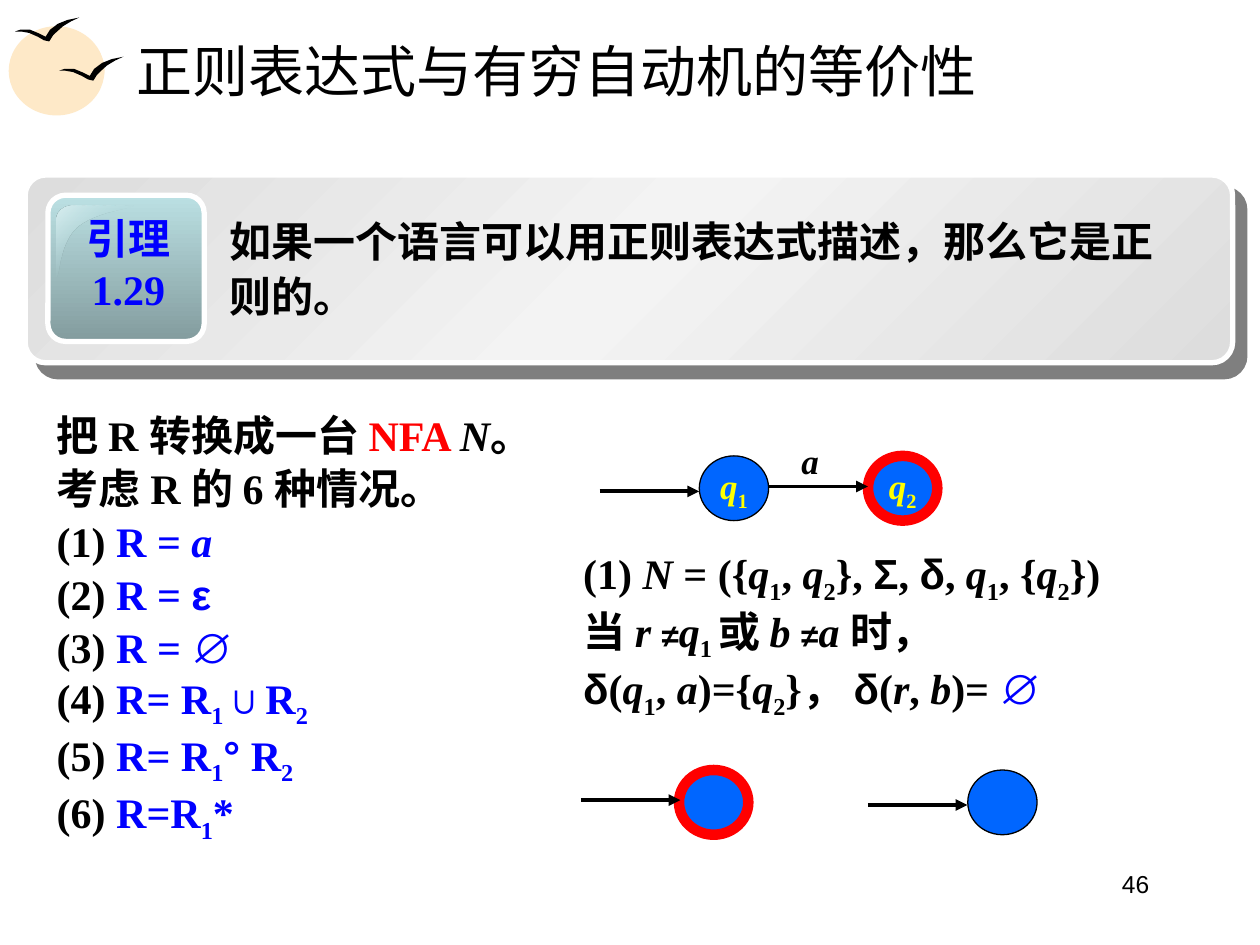
"""Slide on the equivalence of regular expressions and finite automata."""
from lxml import etree
from pptx import Presentation
from pptx.dml.color import RGBColor
from pptx.enum.shapes import MSO_CONNECTOR, MSO_SHAPE
from pptx.enum.text import MSO_ANCHOR, MSO_AUTO_SIZE, PP_ALIGN
from pptx.oxml.ns import qn
from pptx.util import Pt

LEFT, CENTER, RIGHT = PP_ALIGN.LEFT, PP_ALIGN.CENTER, PP_ALIGN.RIGHT
TOP, MIDDLE = MSO_ANCHOR.TOP, MSO_ANCHOR.MIDDLE
OVAL, ROUND = MSO_SHAPE.OVAL, MSO_SHAPE.ROUNDED_RECTANGLE
STRAIGHT = MSO_CONNECTOR.STRAIGHT

THEME = {
    "serif": "Times New Roman", "sans": "Arial",
    "title": 32, "text": 24, "label": 20, "operator": 18, "number": 14,
    "black": "000000", "white": "FFFFFF", "blue": "0000FF", "red": "FF0000",
    "yellow": "FFFF00", "state": "0066FF", "sun": "FEE9C8",
    "card": [(0, "DDDDDD", 100), (50, "F3F3F3", 100), (100, "DDDDDD", 100)],
    "badge": [(0, "BBE0E3", 100), (100, "839C9E", 100)],
    "gloss": [(0, "DAEEF0", 100), (50, "BBE0E3", 0), (100, "DAEEF0", 100)],
}

TITLE = "正则表达式与有穷自动机的等价性"
LEMMA_LABEL = [["引理"], ["1.29"]]
LEMMA = "如果一个语言可以用正则表达式描述，那么它是正则的。"
PAGE = "46"

Q1 = [("q", "italic"), ("1", "sub")]
Q2 = [("q", "italic"), ("2", "sub")]
NOT_EQUAL = ("≠", "sans operator")
CASES = [
    ["把 R 转换成一台 ", ("NFA ", "red"), ("N", "italic"), "。"],
    ["考虑 R 的 6 种情况。"],
    ["(1) ", ("R = ", "blue"), ("a", "blue italic")],
    ["(2) ", ("R = ", "blue"), ("ε", "blue sans")],
    ["(3) ", ("R = ", "blue"), ("∅", "blue sans")],
    ["(4) ", ("R= R", "blue"), ("1", "blue sub"), ("∪R", "blue"), ("2", "blue sub")],
    ["(5) ", ("R= R", "blue"), ("1", "blue sub"), ("°", "blue sans"),
     (" R", "blue"), ("2", "blue sub")],
    ["(6) ", ("R=R", "blue"), ("1", "blue sub"), ("*", "blue")],
]
CASE_GAPS = [0] + [1.5] * 4 + [0] * 3
PROOF = [
    ["(1) ", ("N", "italic"), " = ({", *Q1, ", ", *Q2, "}, ", ("Σ", "sans"), ", ",
     ("δ", "sans"), ", ", *Q1, ", {", *Q2, "})"],
    ["当 ", ("r ", "italic"), NOT_EQUAL, ("q", "italic"), ("1 ", "sub"), "或 ",
     ("b ", "italic"), NOT_EQUAL, ("a ", "italic"), "时，"],
    [("δ", "sans"), "(", *Q1, ", ", ("a", "italic"), ")={", *Q2, "}， ", ("δ", "sans"),
     "(", ("r", "italic"), ", ", ("b", "italic"), ")= ", ("∅", "sans blue")],
]

STATES = [
    (496, 260.5, True, Q2),
    (399.6, 260.5, False, Q1),
    (388, 440, True, None),
    (553, 440, False, None),
]
STATE_SIZE = (39.6, 37)
ARROWS = [(439.2, 278), (342.7, 280.8), (332, 457.2), (496, 460)]
ARROW_LENGTH = 56.8

SUN = [(5, 15, 54.7, 51), (14.4, 20, 45.4, 39.6)]
BIRDS = [(8.6, 10), (33.8, 32.4)]
WING = [(0, 8), (3, 7), (8.6, 7), (13.5, 9), (17.5, 11), (20, 7), (24.5, 3.6),
        (30, 1.4), (36.7, 0), (32, 2.2), (27.4, 5), (23.5, 8.5), (21.6, 10.4),
        (20, 13), (19.5, 13.7), (16.5, 13), (13, 11), (8, 8.8), (3.5, 8)]
GLOSS_CURVES = [
    [(41.8, 117.4), (36.7, 117.4), (32.4, 121), (32.4, 125.3)],
    [(32.4, 158.4), (34.6, 159.1), (33.8, 139), (44.6, 129.6)],
    [(44.6, 129.6), (56.2, 120.2), (77, 119.5), (76.3, 117.4)],
]


def color(name):
    return RGBColor.from_string(THEME[name])


def place(shape, left, top, width, height):
    shape.left, shape.top, shape.width, shape.height = map(Pt, (left, top, width, height))
    return shape


def write(shape, paragraphs, *, size="text", ink="black", font="serif", bold=True,
          align=LEFT, anchor=TOP, wrap=True, grow=False, hanging=0, gaps=None, spacing=1):
    frame = shape.text_frame
    frame.word_wrap, frame.vertical_anchor = wrap, anchor
    frame.auto_size = MSO_AUTO_SIZE.SHAPE_TO_FIT_TEXT if grow else MSO_AUTO_SIZE.NONE
    for index, runs in enumerate(paragraphs):
        paragraph = frame.paragraphs[0] if index == 0 else frame.add_paragraph()
        if hanging:
            properties = paragraph._p.get_or_add_pPr()
            properties.set("marL", str(Pt(hanging)))
            properties.set("indent", str(-Pt(hanging)))
            etree.SubElement(properties, qn("a:buNone"))
        paragraph.alignment, paragraph.line_spacing = align, spacing
        paragraph.space_before = Pt(gaps[index] if gaps else 0)
        for item in runs:
            words, marks = (item, "") if isinstance(item, str) else item
            marks = marks.split()
            run = paragraph.add_run()
            run.text = words
            run.font.name = THEME["sans" if "sans" in marks else font]
            run.font.size = Pt(THEME["operator" if "operator" in marks else size])
            run.font.bold, run.font.italic = bold, "italic" in marks
            run.font.color.rgb = color(next((m for m in marks if m in ("red", "blue")), ink))
            if "sub" in marks:
                run._r.get_or_add_rPr().set("baseline", "-25000")


def paint(shape, fill, line=None, width=0, angle=0):
    if isinstance(THEME[fill], list):
        shape.fill.gradient()
        shape.fill.gradient_angle = 360 - angle
        stops = shape._element.spPr.find(qn("a:gradFill")).find(qn("a:gsLst"))
        for stop in list(stops):
            stops.remove(stop)
        for position, value, alpha in THEME[fill]:
            stop = etree.SubElement(stops, qn("a:gs"), pos=str(position * 1000))
            tone = etree.SubElement(stop, qn("a:srgbClr"), val=value)
            etree.SubElement(tone, qn("a:alpha"), val=str(alpha * 1000))
    else:
        shape.fill.solid()
        shape.fill.fore_color.rgb = color(fill)
    if line:
        shape.line.color.rgb, shape.line.width = color(line), Pt(width)
    else:
        shape.line.fill.background()
    shape.shadow.inherit = False
    return shape


def add_shape(shapes, kind, box, fill, **style):
    return paint(shapes.add_shape(kind, *map(Pt, box)), fill, **style)


def add_outline(shapes, points, fill, **style):
    corners = [(Pt(x), Pt(y)) for x, y in points]
    builder = shapes.build_freeform(*corners[0])
    builder.add_line_segments(corners[1:], close=True)
    return paint(builder.convert_to_shape(), fill, **style)


def add_text(shapes, box, paragraphs, **style):
    write(shapes.add_textbox(*map(Pt, box)), paragraphs, **style)


def add_arrow(shapes, left, y):
    arrow = shapes.add_connector(STRAIGHT, Pt(left), Pt(y), Pt(left + ARROW_LENGTH), Pt(y))
    arrow.line.color.rgb, arrow.line.width = color("black"), Pt(2.25)
    etree.SubElement(arrow.line._get_or_add_ln(), qn("a:tailEnd"), type="triangle")
    etree.SubElement(arrow._element.spPr, qn("a:effectLst"))


def flatten(curve, steps=12):
    weights = [((1 - t) ** 3, 3 * t * (1 - t) ** 2, 3 * t * t * (1 - t), t ** 3)
               for t in (step / steps for step in range(steps + 1))]
    return [tuple(sum(w * p[axis] for w, p in zip(row, curve)) for axis in (0, 1))
            for row in weights]


def add_lemma(shapes):
    card = add_shape(shapes, ROUND, (14.4, 100, 690, 107.3), "card",
                     line="white", width=3, angle=45)
    card.adjustments[0] = 0.11
    effects = card._element.spPr.find(qn("a:effectLst"))
    shadow = etree.SubElement(effects, qn("a:outerShdw"), blurRad="0", dist=str(Pt(10.6)),
                              dir=str(49 * 60000), algn="ctr", rotWithShape="0")
    tone = etree.SubElement(shadow, qn("a:srgbClr"), val=THEME["black"])
    etree.SubElement(tone, qn("a:alpha"), val="50000")
    badge = add_shape(shapes, ROUND, (27.4, 111.6, 89.3, 83.5), "badge",
                      line="white", width=3, angle=90)
    badge.adjustments[0] = 0.12
    gloss = [point for curve in GLOSS_CURVES for point in flatten(curve)]
    add_outline(shapes, gloss, "gloss", angle=45)
    add_text(shapes, (39.6, 118, 67.7, 64.8), LEMMA_LABEL, ink="blue", align=CENTER, grow=True)
    add_text(shapes, (123.8, 116.6, 550, 70.6), [[LEMMA]], spacing=1.1, grow=True)


def main():
    deck = Presentation()
    deck.slide_width, deck.slide_height = Pt(720), Pt(540)
    slide = deck.slides.add_slide(deck.slide_layouts[1])
    shapes = slide.shapes
    write(place(shapes.title, 70.6, 15, 614, 49.7), [[TITLE]],
          size="title", bold=False, anchor=MIDDLE)
    write(place(slide.placeholders[1], 25.2, 230.4, 294.5, 284.4), CASES,
          hanging=36, gaps=CASE_GAPS, grow=True)
    for box in SUN:
        add_shape(shapes, OVAL, box, "sun")
    for left, top in BIRDS:
        add_outline(shapes, [(left + x, top + y) for x, y in WING], "black")
    add_lemma(shapes)
    add_text(shapes, (450.7, 247.7, 24.5, 31.7), [[("a", "italic")]],
             size="label", align=CENTER, wrap=False, grow=True)
    for left, top, accepting, label in STATES:
        state = add_shape(shapes, OVAL, (left, top, *STATE_SIZE), "state",
                          line="red" if accepting else "black", width=6 if accepting else 0.75)
        if label:
            write(state, [label], size="label", ink="yellow", align=CENTER,
                  anchor=MIDDLE, wrap=False)
    for left, y in ARROWS:
        add_arrow(shapes, left, y)
    add_text(shapes, (326.2, 309.6, 363, 105.8), PROOF, grow=True)
    add_text(shapes, (496, 493.2, 167.8, 37.4), [[PAGE]],
             size="number", font="sans", bold=False, align=RIGHT)
    deck.save("out.pptx")


if __name__ == "__main__":
    main()
